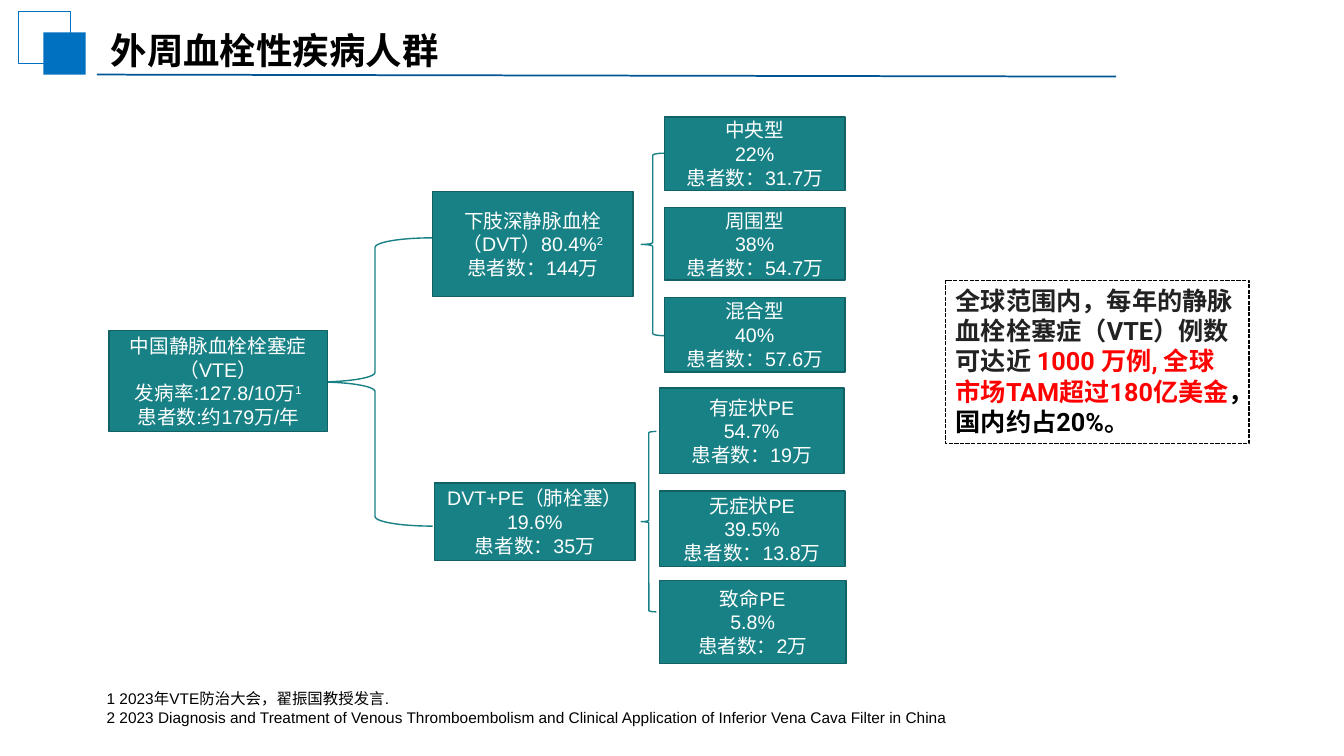
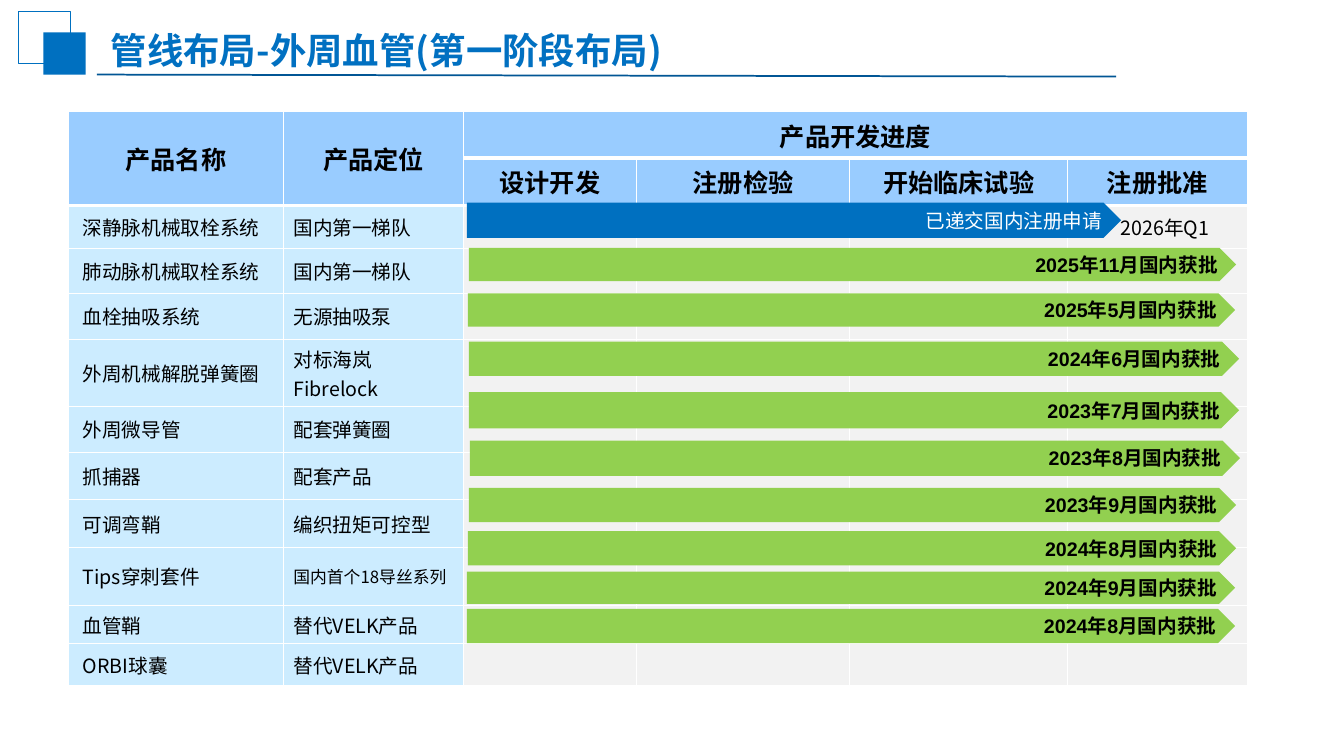
from lxml import etree
from pptx import Presentation
from pptx.dml.color import RGBColor
from pptx.enum.dml import MSO_LINE
from pptx.enum.shapes import MSO_CONNECTOR, MSO_SHAPE
from pptx.enum.text import MSO_ANCHOR, PP_ALIGN
from pptx.oxml.ns import qn
from pptx.util import Inches, Pt

RECTANGLE, BRACE, PENTAGON = MSO_SHAPE.RECTANGLE, MSO_SHAPE.LEFT_BRACE, MSO_SHAPE.PENTAGON
LEFT, CENTER, RIGHT = PP_ALIGN.LEFT, PP_ALIGN.CENTER, PP_ALIGN.RIGHT
TOP, MIDDLE = MSO_ANCHOR.TOP, MSO_ANCHOR.MIDDLE
STRAIGHT, DASH = MSO_CONNECTOR.STRAIGHT, MSO_LINE.SQUARE_DOT

BLUE, DARK_BLUE, TITLE_BLUE = "0070C0", "015695", "0170C1"
TEAL, DARK_TEAL = "188186", "126165"
HEADER_FILL, LABEL_FILL, PROGRESS_FILL = "99CCFF", "CCECFF", "F2F2F2"
GREEN, BLACK, WHITE, RED, DARK_GRAY = "92D050", "000000", "FFFFFF", "FF0000", "222222"
SANS, CJK, ROBOTO = "Arial", "Noto Sans CJK SC", "Roboto"


def add_shape(slide, kind, box, fill=None, line=None, width=1):
    shape = slide.shapes.add_shape(kind, *map(Inches, box))
    shape.shadow.inherit = False
    if fill:
        shape.fill.solid()
        shape.fill.fore_color.rgb = RGBColor.from_string(fill)
    else:
        shape.fill.background()
    if line:
        shape.line.color.rgb = RGBColor.from_string(line)
        shape.line.width = Pt(width)
    else:
        shape.line.fill.background()
    return shape


def write(frame, lines, size, color, font=SANS, bold=False, align=LEFT, anchor=MIDDLE):
    frame.word_wrap = True
    frame.vertical_anchor = anchor
    for index, line in enumerate(lines):
        paragraph = frame.add_paragraph() if index else frame.paragraphs[0]
        text, _, superscript = line.partition("^")
        paragraph.alignment = align
        paragraph.font.size = Pt(size)
        paragraph.font.name = font
        paragraph.font.bold = bold
        paragraph.font.color.rgb = RGBColor.from_string(color)
        if text:
            paragraph.add_run().text = text
        if superscript:
            run = paragraph.add_run()
            run.text = superscript
            run.font._element.set("baseline", "30000")


presentation = Presentation()
presentation.slide_width = Inches(13.33)
presentation.slide_height = Inches(7.5)

slides = []
for title, color, font in [
    ("外周血栓性疾病人群", BLACK, SANS),
    ("管线布局-外周血管(第一阶段布局)", TITLE_BLUE, CJK),
]:
    slide = presentation.slides.add_slide(presentation.slide_layouts[6])
    rule = slide.shapes.add_connector(STRAIGHT, Inches(0.96), Inches(0.74), Inches(11.07), Inches(0.76))
    rule.line.color.rgb = RGBColor.from_string(DARK_BLUE)
    rule.line.width = Pt(1.25)
    etree.SubElement(rule._element.spPr, qn("a:effectLst"))
    add_shape(slide, RECTANGLE, (0.18, 0.11, 0.52, 0.52), line=BLUE, width=0.75)
    add_shape(slide, RECTANGLE, (0.43, 0.32, 0.42, 0.42), fill=BLUE)
    title_box = slide.shapes.add_textbox(Inches(1), Inches(0.14), Inches(9.56), Inches(0.71))
    write(title_box.text_frame, [title], 26, color, font, bold=True)
    slides.append(slide)
population_slide, pipeline_slide = slides

for box in [(3.15, 2.36, 1.14, 2.86), (6.36, 1.52, 0.23, 1.81), (6.36, 4.28, 0.15, 1.79)]:
    add_shape(population_slide, BRACE, box, line=TEAL)

for box, lines in [
    ((1.08, 3.28, 2.17, 1), ["中国静脉血栓栓塞症（VTE）", "发病率:127.8/10万^1", "患者数:约179万/年"]),
    ((4.29, 1.9, 1.99, 1.04), ["下肢深静脉血栓", "（DVT）80.4%^2", "患者数：144万"]),
    ((4.31, 4.79, 1.99, 0.77), ["DVT+PE（肺栓塞）", "19.6%", "患者数：35万"]),
    ((6.59, 1.16, 1.79, 0.73), ["中央型", "22%", "患者数：31.7万"]),
    ((6.59, 2.06, 1.79, 0.72), ["周围型", "38%", "患者数：54.7万"]),
    ((6.59, 2.95, 1.79, 0.74), ["混合型", "40%", "患者数：57.6万"]),
    ((6.54, 3.85, 1.83, 0.85), ["有症状PE", "54.7%", "患者数：19万"]),
    ((6.54, 4.87, 1.84, 0.75), ["无症状PE", "39.5%", "患者数：13.8万"]),
    ((6.54, 5.76, 1.85, 0.82), ["致命PE", "5.8%", "患者数：2万"]),
]:
    node = add_shape(population_slide, RECTANGLE, box, TEAL, DARK_TEAL)
    node.text_frame.margin_top = node.text_frame.margin_bottom = 0
    write(node.text_frame, lines, 14, WHITE, align=CENTER)

callout = add_shape(population_slide, RECTANGLE, (9.38, 2.78, 3.01, 1.62), line=BLACK)
callout.line.dash_style = DASH
write(callout.text_frame, [""], 18, BLACK, ROBOTO, bold=True, anchor=TOP)
for text, color in [
    ("全球范围内，每年的静脉血栓栓塞症（VTE）例数可达近 ", DARK_GRAY),
    ("1000 万例, 全球市场TAM超过180亿美金", RED),
    ("，国内约占20%。", BLACK),
]:
    run = callout.text_frame.paragraphs[0].add_run()
    run.text = text
    run.font.color.rgb = RGBColor.from_string(color)

references = population_slide.shapes.add_textbox(Inches(0.96), Inches(6.79), Inches(9.6), Inches(0.47))
write(references.text_frame, [
    "1 2023年VTE防治大会，翟振国教授发言.",
    "2 2023 Diagnosis and Treatment of Venous Thromboembolism and Clinical Application of Inferior Vena Cava Filter in China",
], 11, BLACK, anchor=TOP)

rows = [
    ["产品名称", "产品定位", "产品开发进度", "", "", ""],
    ["", "", "设计开发", "注册检验", "开始临床试验", "注册批准"],
    ["深静脉机械取栓系统", "国内第一梯队", "", "", "", "2026年Q1"],
    ["肺动脉机械取栓系统", "国内第一梯队"],
    ["血栓抽吸系统", "无源抽吸泵"],
    ["外周机械解脱弹簧圈", "对标海岚Fibrelock"],
    ["外周微导管", "配套弹簧圈"],
    ["抓捕器", "配套产品"],
    ["可调弯鞘", "编织扭矩可控型"],
    ["Tips穿刺套件", "国内首个18导丝系列"],
    ["血管鞘", "替代VELK产品"],
    ["ORBI球囊", "替代VELK产品"],
]
column_widths = [2.13, 1.79, 1.71, 2.12, 2.16, 1.78]
row_heights = [0.46, 0.47, 0.43, 0.44, 0.46, 0.66, 0.46, 0.47, 0.47, 0.58, 0.38, 0.41]
table = pipeline_slide.shapes.add_table(
    len(rows), len(column_widths), Inches(0.68), Inches(1.11),
    Inches(sum(column_widths)), Inches(sum(row_heights))).table
table.horz_banding = False
for column, width in zip(table.columns, column_widths):
    column.width = Inches(width)
for row, height in zip(table.rows, row_heights):
    row.height = Inches(height)

for row_index, texts in enumerate(rows):
    is_header = row_index < 2
    for column_index in range(len(column_widths)):
        is_label = column_index < 2
        text = texts[column_index] if column_index < len(texts) else ""
        cell = table.cell(row_index, column_index)
        cell.fill.solid()
        fill = HEADER_FILL if is_header else LABEL_FILL if is_label else PROGRESS_FILL
        cell.fill.fore_color.rgb = RGBColor.from_string(fill)
        cell.vertical_anchor = MIDDLE
        if not text:
            cell.margin_top = cell.margin_bottom = 0
        elif not is_header and column_index != 1:
            cell.margin_left = Inches(0.14 if is_label else 0.25)
        size = 18 if is_header else 12 if "导丝" in text else 14
        align = CENTER if is_header or not is_label else LEFT
        write(cell.text_frame, [text], size, BLACK, CJK, is_header, align)
        properties = cell._tc.get_or_add_tcPr()
        for position, side in enumerate(["lnL", "lnR", "lnT", "lnB"]):
            border_width = 3 if is_header and side == "lnB" else 1
            border = etree.Element(qn("a:" + side), w=str(Pt(border_width)))
            border_fill = etree.SubElement(border, qn("a:solidFill"))
            etree.SubElement(border_fill, qn("a:srgbClr"), val=WHITE)
            properties.insert(position, border)

for column_index in range(2):
    table.cell(0, column_index).merge(table.cell(1, column_index))
table.cell(0, 2).merge(table.cell(0, 5))

for box, text in [
    ((4.63, 2.01, 6.49, 0.35), "已递交国内注册申请"),
    ((4.65, 2.46, 7.61, 0.33), "2025年11月国内获批"),
    ((4.64, 2.91, 7.61, 0.33), "2025年5月国内获批"),
    ((4.65, 3.39, 7.64, 0.34), "2024年6月国内获批"),
    ((4.65, 3.89, 7.64, 0.36), "2023年7月国内获批"),
    ((4.66, 4.37, 7.64, 0.35), "2023年8月国内获批"),
    ((4.65, 4.84, 7.61, 0.34), "2023年9月国内获批"),
    ((4.64, 5.27, 7.62, 0.34), "2024年8月国内获批"),
    ((4.63, 5.67, 7.62, 0.32), "2024年9月国内获批"),
    ((4.63, 6.04, 7.62, 0.34), "2024年8月国内获批"),
]:
    approved = text.endswith("获批")
    bar = add_shape(pipeline_slide, PENTAGON, box, GREEN if approved else BLUE)
    write(bar.text_frame, [text], 14, BLACK if approved else WHITE, bold=approved, align=RIGHT)

presentation.save("out.pptx")
